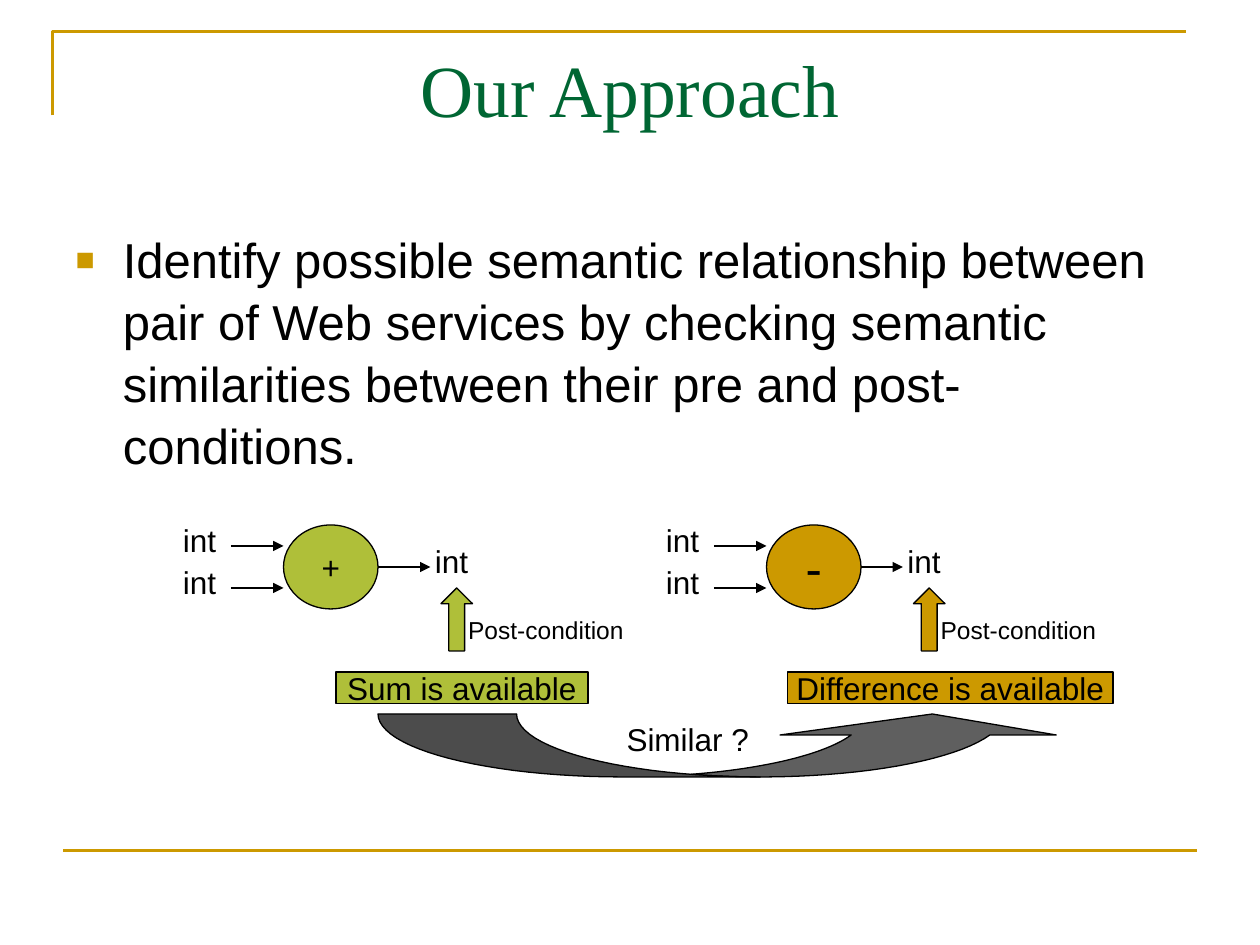
from math import asin, acos, cos, degrees, radians, sin

from lxml import etree
from pptx import Presentation
from pptx.dml.color import RGBColor
from pptx.enum.shapes import MSO_CONNECTOR, MSO_SHAPE
from pptx.enum.text import MSO_ANCHOR, MSO_AUTO_SIZE, PP_ALIGN
from pptx.oxml.ns import qn
from pptx.util import Cm, Pt

LINE = MSO_CONNECTOR.STRAIGHT
OVAL, RECT, UP = MSO_SHAPE.OVAL, MSO_SHAPE.RECTANGLE, MSO_SHAPE.UP_ARROW
TOP, MIDDLE = MSO_ANCHOR.TOP, MSO_ANCHOR.MIDDLE
CENTER, LEFT = PP_ALIGN.CENTER, PP_ALIGN.LEFT
FIXED = MSO_AUTO_SIZE.NONE

BLACK, GOLD, LIME, GREEN = "000000", "CC9900", "AFBF39", "006633"
DARK, GREY = "4C4C4C", "5F5F5F"


def cm(n):
    """Length of n grid steps; twelve steps make 2.54 cm."""
    return Cm(n * 2.54 / 12)


def rgb(code):
    return RGBColor.from_string(code)


def arc(mid, top, wide, high, start, end, steps=24):
    """Points on an ellipse between two angles in degrees."""
    turns = [radians(start + (end - start) * i / steps) for i in range(steps + 1)]
    return [(mid + wide * cos(t), top + high * sin(t)) for t in turns]


class Deck:
    font = "Arial"
    size = 18
    thin = 0.75

    def __init__(self):
        self.prs = Presentation()
        self.prs.slide_width, self.prs.slide_height = cm(120), cm(90)
        self.slide = self.prs.slides.add_slide(self.prs.slide_layouts[1])
        self.shapes = self.slide.shapes

    def put(self, shape, text, size=None, color=BLACK, font=None,
            align=CENTER, anchor=TOP, wrap=True):
        frame = shape.text_frame
        frame.text = text
        frame.word_wrap = wrap
        frame.auto_size = FIXED
        frame.vertical_anchor = anchor
        para = frame.paragraphs[0]
        para.alignment = align
        for run in para.runs:
            run.font.size = Pt(size or self.size)
            run.font.name = font or self.font
            run.font.color.rgb = rgb(color)
        return para

    def holder(self, index, box, text, **style):
        shape = self.slide.placeholders[index]
        shape.left, shape.top, shape.width, shape.height = map(cm, box)
        return self.put(shape, text, **style)

    def bullet(self, para, color, char="■"):
        props = para._p.get_or_add_pPr()
        props.set("marL", str(cm(4.5)))
        props.set("indent", str(-cm(4.5)))
        tint = etree.SubElement(props, qn("a:buClr"))
        etree.SubElement(tint, qn("a:srgbClr"), val=color)
        etree.SubElement(props, qn("a:buSzPct"), val="65000")
        etree.SubElement(props, qn("a:buFont"), typeface=self.font)
        etree.SubElement(props, qn("a:buChar"), char=char)

    def paint(self, shape, fill, line=BLACK, width=thin):
        shape.shadow.inherit = False
        if fill:
            shape.fill.solid()
            shape.fill.fore_color.rgb = rgb(fill)
        else:
            shape.fill.background()
        shape.line.color.rgb = rgb(line)
        shape.line.width = Pt(width)

    def shape(self, kind, box, fill, text="", size=None):
        shape = self.shapes.add_shape(kind, *map(cm, box))
        self.paint(shape, fill)
        if text:
            self.put(shape, text, size, anchor=MIDDLE, wrap=False)

    def label(self, box, text, size=None):
        self.put(self.shapes.add_textbox(*map(cm, box)), text, size)

    def line(self, start, end, color=BLACK, width=thin, head=True):
        line = self.shapes.add_connector(LINE, *map(cm, start + end))
        line.line.color.rgb = rgb(color)
        line.line.width = Pt(width)
        props = line._element.spPr
        if head:
            etree.SubElement(props.find(qn("a:ln")), qn("a:tailEnd"), type="triangle")
        etree.SubElement(props, qn("a:effectLst"))

    def outline(self, points, fill=None, close=True, **style):
        spots = [(cm(x), cm(y)) for x, y in points]
        pen = self.shapes.build_freeform(*spots[0])
        pen.add_line_segments(spots[1:], close=close)
        self.paint(pen.convert_to_shape(), fill, **style)

    def service(self, left, out, sign, size, fill):
        """Two inputs, an operator and an output with its post-condition."""
        for top in (52, 56):
            self.label((left, top - 3, 6, 4.8), "int")
            self.line((left + 6, top), (left + 11, top))
        self.shape(OVAL, (left + 11, 50, 9, 8), fill, sign, size)
        self.line((left + 20, 54), (out + 1, 54))
        self.label((out, 51, 6, 4.8), "int")
        self.shape(UP, (out + 2, 56, 3, 6), fill)
        self.label((out + 3, 58, 18, 4.1), "Post-condition", 14)

    def bend(self):
        """Curved arrow made of a dark left arm and a lighter right arm."""
        near, far, top, wide, high = 59.2, 72.4, 68, 23.2, 6
        neck = degrees(asin(1 / 3))
        cross = degrees(acos((far - near) / 2 / wide))
        size = (top, wide, high)
        head = [(74.3, 70), (88.8, 68), (100.6, 70)]
        self.outline(arc(near, *size, cross, neck) + head
                     + arc(far, *size, neck, 180 - cross), GREY)
        self.outline(arc(near, *size, 180, 90) + arc(far, *size, 90, 180), DARK)


def main():
    deck = Deck()

    # Frame lines
    deck.outline([(5, 11), (5, 3), (113, 3)], close=False, line=GOLD, width=1.5)
    deck.line((6, 81), (114, 81), GOLD, 1.5, head=False)

    # Title and statement
    deck.holder(0, (6, 3.6, 108, 15), "Our Approach", size=42, color=GREEN,
                font="Times New Roman")
    para = deck.holder(
        1, (6, 21, 108, 59.4),
        "Identify possible semantic relationship between pair of Web services "
        "by checking semantic similarities between their pre and post-conditions.",
        size=28, align=LEFT)
    deck.bullet(para, GOLD)
    para.line_spacing = 1.05
    para.space_before = Pt(0)

    # The two services
    deck.service(16, 40, "+", 18, LIME)
    deck.service(62, 85, "-", 28, GOLD)

    # Their conditions and the comparison
    deck.shape(RECT, (32, 64, 24, 3), LIME, "Sum is available")
    deck.shape(RECT, (75, 64, 31, 3), GOLD, "Difference is available")
    deck.bend()
    deck.label((55, 68, 21, 4.8), "Similar ?")

    deck.prs.save("out.pptx")


if __name__ == "__main__":
    main()
